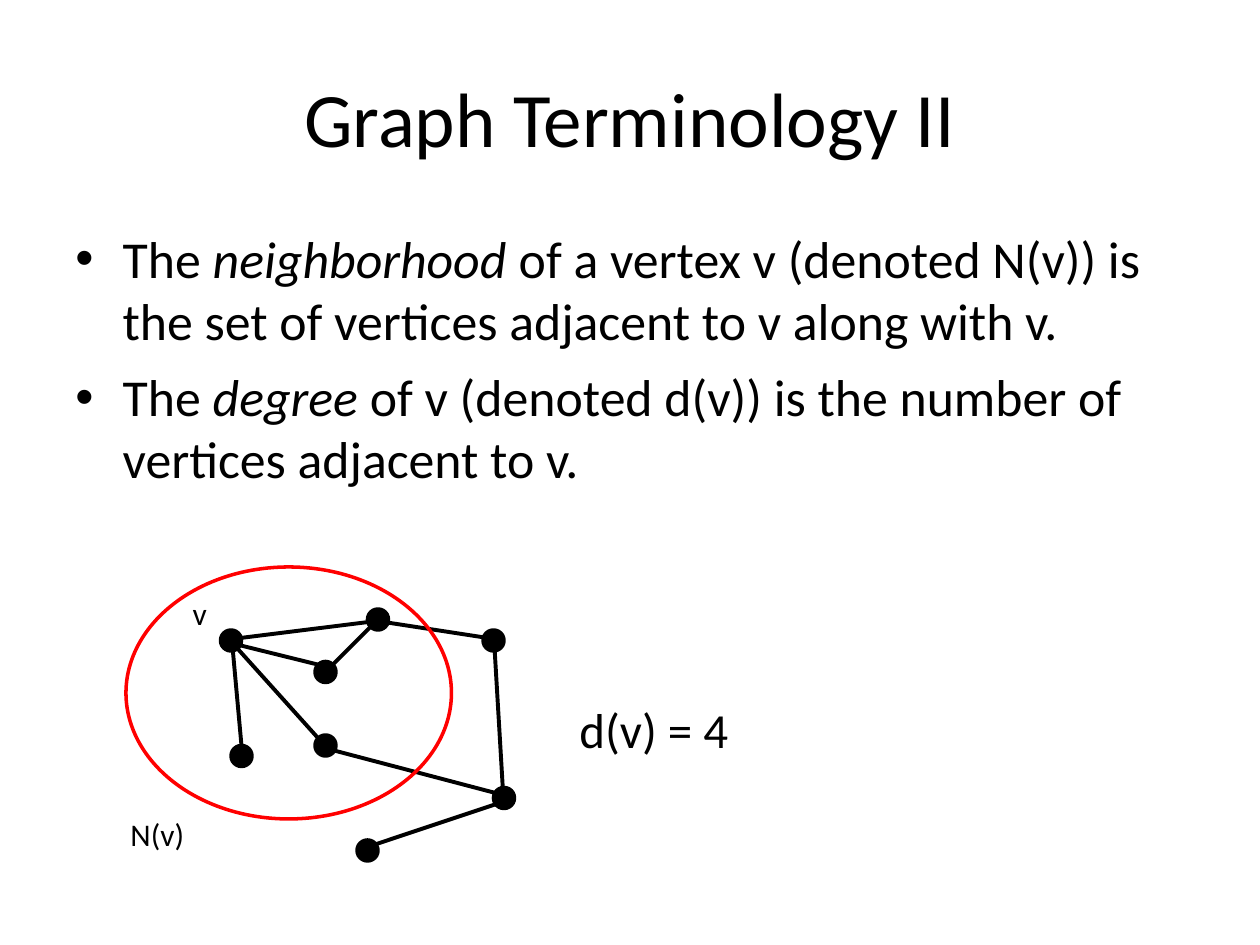
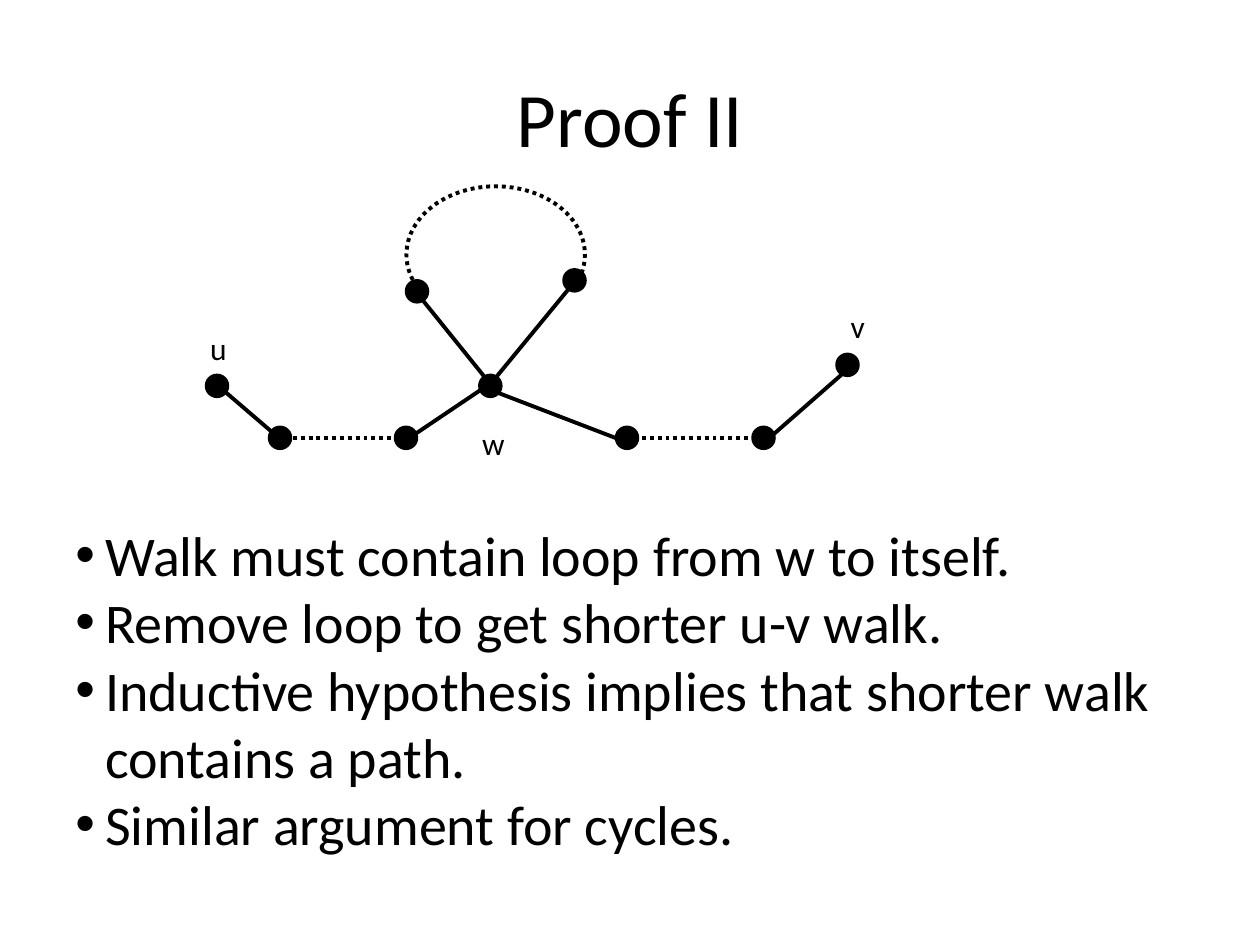
import dataclasses
import enum
import typing

import pptx
import pptx.dml.color
import pptx.enum.dml
import pptx.enum.shapes
import pptx.enum.text
import pptx.oxml.ns
import pptx.util
from lxml import etree

Pt = pptx.util.Pt
RGBColor = pptx.dml.color.RGBColor
MSO_SHAPE = pptx.enum.shapes.MSO_SHAPE
TITLE_ONLY = 5


@dataclasses.dataclass(frozen=True)
class Theme:
    font: str = "Calibri"
    ink: RGBColor = RGBColor(0, 0, 0)
    highlight: RGBColor = RGBColor(255, 0, 0)
    title_size: float = 44
    definition_size: float = 29.6
    argument_size: float = 32
    formula_size: float = 28
    label_size: float = 18
    outline: float = 2
    edge: float = 2.25
    vertex: float = 12


THEME = Theme()


class Site(enum.Enum):
    TOP = (0.5, 0)
    TOP_LEFT = (0.15, 0.15)
    LEFT = (0, 0.5)
    BOTTOM_LEFT = (0.15, 0.85)
    BOTTOM = (0.5, 1)
    BOTTOM_RIGHT = (0.85, 0.85)
    RIGHT = (1, 0.5)
    TOP_RIGHT = (0.85, 0.15)
    CENTER = (0.5, 0.5)
    INNER_RIGHT = (0.75, 0.5)
    INNER_BOTTOM = (0.5, 0.75)


class Box(typing.NamedTuple):
    left: float
    top: float
    width: float
    height: float

    def lengths(self) -> list[pptx.util.Length]:
        return [Pt(value) for value in self]


class Edge(typing.NamedTuple):
    start: str
    start_site: Site
    end: str
    end_site: Site
    dotted: bool = False


class Label(typing.NamedTuple):
    text: str
    box: Box
    size: float = THEME.label_size
    wrap: bool = False


class BulletList(typing.NamedTuple):
    box: Box
    size: float
    indent: float
    gap: float
    items: list[tuple[str, ...]]


Vertices = dict[str, tuple[float, float]]

TITLE_BOX = Box(36, 21.6, 648, 90)

NEIGHBORHOOD_VERTICES: Vertices = {
    "v": (126, 360),
    "a": (132, 426),
    "b": (180, 420),
    "c": (210, 348),
    "d": (180, 378),
    "e": (276, 360),
    "f": (282, 450),
    "g": (204, 480),
}
NEIGHBORHOOD_EDGES = [
    Edge("v", Site.TOP, "a", Site.TOP),
    Edge("v", Site.TOP_LEFT, "b", Site.TOP_LEFT),
    Edge("v", Site.LEFT, "d", Site.TOP_LEFT),
    Edge("v", Site.LEFT, "c", Site.RIGHT),
    Edge("d", Site.BOTTOM_LEFT, "c", Site.TOP_RIGHT),
    Edge("c", Site.LEFT, "e", Site.RIGHT),
    Edge("b", Site.LEFT, "f", Site.RIGHT),
    Edge("g", Site.LEFT, "f", Site.RIGHT),
    Edge("e", Site.TOP, "f", Site.BOTTOM),
]
NEIGHBORHOOD_LABELS = [
    Label("v", Box(103, 336, 22, 29)),
    Label("N(v)", Box(67.5, 462, 45, 29)),
    Label("d(v) = 4", Box(324, 396, 132, 41), THEME.formula_size, True),
]
NEIGHBORHOOD_RING = Box(72, 324, 186, 144)
DEFINITIONS = BulletList(
    Box(36, 126, 648, 198), THEME.definition_size, 27, 8,
    [
        ("The ", "neighborhood", " of a vertex v (denoted N(v)) is the set of"
         " vertices adjacent to v along with v."),
        ("The ", "degree", " of v (denoted d(v)) is the number of vertices"
         " adjacent to v."),
    ],
)

WALK_VERTICES: Vertices = {
    "u": (118, 214.5),
    "after u": (154, 244.2),
    "before w": (226, 244.2),
    "w": (274.2, 214.5),
    "loop left": (232.3, 160.5),
    "loop right": (322.3, 154.2),
    "after w": (352.3, 244.2),
    "before v": (430.3, 244.2),
    "v": (478.3, 202.5),
}
WALK_EDGES = [
    Edge("u", Site.TOP_LEFT, "after u", Site.BOTTOM_RIGHT),
    Edge("before w", Site.BOTTOM_LEFT, "w", Site.TOP_RIGHT),
    Edge("loop right", Site.TOP_RIGHT, "w", Site.BOTTOM_LEFT),
    Edge("loop left", Site.TOP_LEFT, "w", Site.BOTTOM_RIGHT),
    Edge("after w", Site.BOTTOM_RIGHT, "w", Site.LEFT),
    Edge("v", Site.INNER_RIGHT, "before v", Site.INNER_BOTTOM),
    Edge("after u", Site.LEFT, "before w", Site.RIGHT, True),
    Edge("before v", Site.CENTER, "after w", Site.RIGHT, True),
]
WALK_LABELS = [
    Label("u", Box(113, 184.5, 24, 29)),
    Label("v", Box(479, 172, 22, 29)),
    Label("w", Box(268.5, 238.5, 27.5, 29)),
]
LOOP_BOX = Box(232.3, 106.5, 102, 78)
LOOP_START, LOOP_END = 163, 13.5
ARGUMENT = BulletList(
    Box(36, 294, 648, 199), THEME.argument_size, 17, 0,
    [
        ("Walk must contain loop from w to itself.",),
        ("Remove loop to get shorter u-v walk.",),
        ("Inductive hypothesis implies that shorter walk contains a path.",),
        ("Similar argument for cycles.",),
    ],
)


def style_font(font, size: float) -> None:
    font.name = THEME.font
    font.size = Pt(size)
    font.color.rgb = THEME.ink


def add_title_slide(presentation, title: str):
    slide = presentation.slides.add_slide(presentation.slide_layouts[TITLE_ONLY])
    shape = slide.shapes.title
    shape.left, shape.top, shape.width, shape.height = TITLE_BOX.lengths()
    shape.text_frame.text = title
    shape.text_frame.vertical_anchor = pptx.enum.text.MSO_ANCHOR.MIDDLE
    paragraph = shape.text_frame.paragraphs[0]
    paragraph.alignment = pptx.enum.text.PP_ALIGN.CENTER
    style_font(paragraph.runs[0].font, THEME.title_size)
    return slide


def add_outline(slide, preset, box: Box, color: RGBColor, width: float):
    shape = slide.shapes.add_shape(preset, *box.lengths())
    shape.shadow.inherit = False
    shape.fill.background()
    shape.line.color.rgb = color
    shape.line.width = Pt(width)
    return shape


def add_edge(slide, vertices: Vertices, edge: Edge) -> None:
    ends = [
        Pt(corner + fraction * THEME.vertex)
        for name, site in ((edge.start, edge.start_site), (edge.end, edge.end_site))
        for corner, fraction in zip(vertices[name], site.value)
    ]
    connector = slide.shapes.add_connector(
        pptx.enum.shapes.MSO_CONNECTOR.STRAIGHT, *ends
    )
    connector.line.color.rgb = THEME.ink
    connector.line.width = Pt(THEME.edge)
    if edge.dotted:
        connector.line.dash_style = pptx.enum.dml.MSO_LINE.ROUND_DOT
    properties = connector._element.spPr
    etree.SubElement(properties, pptx.oxml.ns.qn("a:effectLst"))


def add_graph(slide, vertices: Vertices, edges: list[Edge]) -> None:
    for edge in edges:
        add_edge(slide, vertices, edge)
    for left, top in vertices.values():
        box = Box(left, top, THEME.vertex, THEME.vertex)
        vertex = add_outline(slide, MSO_SHAPE.OVAL, box, THEME.ink, THEME.outline)
        vertex.fill.solid()
        vertex.fill.fore_color.rgb = THEME.ink


def add_label(slide, label: Label) -> None:
    text_frame = slide.shapes.add_textbox(*label.box.lengths()).text_frame
    text_frame.word_wrap = label.wrap
    text_frame.text = label.text
    style_font(text_frame.paragraphs[0].runs[0].font, label.size)


def add_bullet(paragraph, indent: float) -> None:
    properties = paragraph._p.get_or_add_pPr()
    properties.set("marL", str(Pt(indent)))
    properties.set("indent", str(-Pt(indent)))
    font = etree.SubElement(properties, pptx.oxml.ns.qn("a:buFont"))
    font.set("typeface", "Arial")
    bullet = etree.SubElement(properties, pptx.oxml.ns.qn("a:buChar"))
    bullet.set("char", "•")


def add_bullet_list(slide, bullets: BulletList) -> None:
    text_frame = slide.shapes.add_textbox(*bullets.box.lengths()).text_frame
    text_frame.word_wrap = True
    for index, parts in enumerate(bullets.items):
        paragraph = text_frame.add_paragraph() if index else text_frame.paragraphs[0]
        add_bullet(paragraph, bullets.indent)
        if index:
            paragraph.space_before = Pt(bullets.gap)
        for position, text in enumerate(parts):
            run = paragraph.add_run()
            run.text = text
            style_font(run.font, bullets.size)
            run.font.italic = position % 2 == 1


def build_terminology(presentation) -> None:
    slide = add_title_slide(presentation, "Graph Terminology II")
    add_bullet_list(slide, DEFINITIONS)
    add_graph(slide, NEIGHBORHOOD_VERTICES, NEIGHBORHOOD_EDGES)
    add_outline(
        slide, MSO_SHAPE.OVAL, NEIGHBORHOOD_RING, THEME.highlight, THEME.outline
    )
    for label in NEIGHBORHOOD_LABELS:
        add_label(slide, label)


def build_proof(presentation) -> None:
    slide = add_title_slide(presentation, "Proof II")
    loop = add_outline(slide, MSO_SHAPE.ARC, LOOP_BOX, THEME.ink, THEME.edge)
    loop.line.dash_style = pptx.enum.dml.MSO_LINE.ROUND_DOT
    for index, degrees in enumerate((LOOP_START, LOOP_END)):
        loop.adjustments[index] = degrees * 0.6
    add_graph(slide, WALK_VERTICES, WALK_EDGES)
    for label in WALK_LABELS:
        add_label(slide, label)
    add_bullet_list(slide, ARGUMENT)


def main() -> None:
    presentation = pptx.Presentation()
    presentation.slide_width = Pt(720)
    presentation.slide_height = Pt(540)
    build_terminology(presentation)
    build_proof(presentation)
    presentation.save("out.pptx")


if __name__ == "__main__":
    main()
